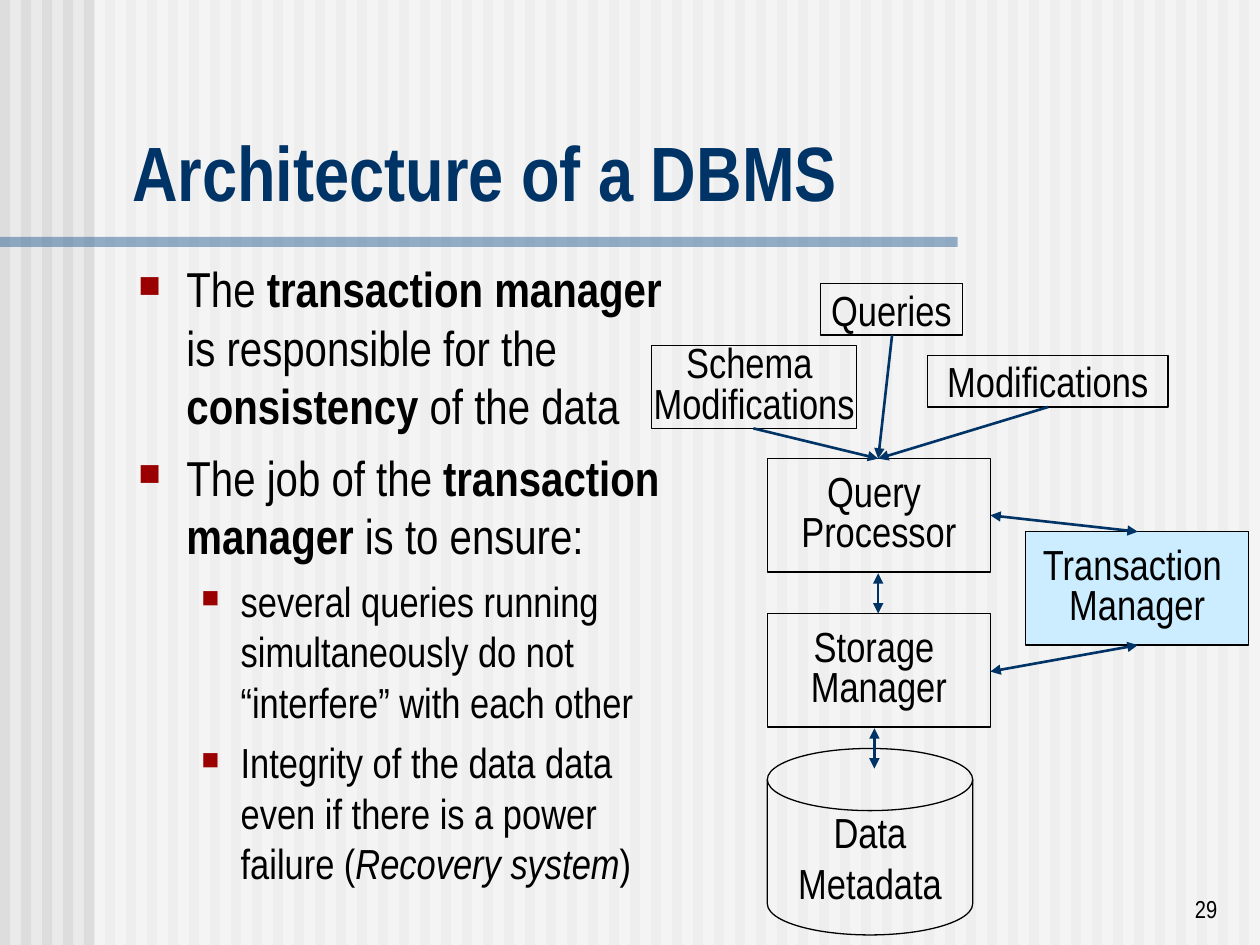
"""Builds the slide on the architecture of a DBMS."""
from lxml.etree import SubElement
from pptx import Presentation
from pptx.dml.color import RGBColor
from pptx.enum.shapes import MSO_CONNECTOR, MSO_SHAPE
from pptx.enum.text import MSO_ANCHOR, MSO_AUTO_SIZE, PP_ALIGN
from pptx.oxml.ns import qn
from pptx.util import Inches, Pt


def color(value):
    return RGBColor.from_string(value)


class SlideBuilder:
    font_name = "Arial Narrow"
    ink = "000000"
    navy = "003366"
    bullet_red = "9A0000"

    def __init__(self, slide):
        self.slide = slide
        self.shapes = slide.shapes

    def style(self, paragraph, size, ink=ink, bold=None):
        font = paragraph.font
        font.name, font.size, font.bold = self.font_name, Pt(size), bold
        font.color.rgb = color(ink)

    def place(self, shape, left, top, width, height):
        shape.left, shape.top = Inches(left), Inches(top)
        shape.width, shape.height = Inches(width), Inches(height)

    def background(self, fill):
        self.slide.background.fill.solid()
        self.slide.background.fill.fore_color.rgb = color(fill)

    def band(self, left, top, width, height, fill, opacity=None):
        band = self.shapes.add_shape(MSO_SHAPE.RECTANGLE, 0, 0, 0, 0)
        self.place(band, left, top, width, height)
        band.shadow.inherit = False
        band.line.fill.background()
        band.fill.solid()
        band.fill.fore_color.rgb = color(fill)
        if opacity is not None:
            tint = band.fill._xPr.find(".//" + qn("a:srgbClr"))
            SubElement(tint, qn("a:alpha"), val=str(opacity * 1000))

    def title(self, text, *frame):
        title = self.shapes.title
        self.place(title, *frame)
        title.text_frame.text = text
        title.text_frame.vertical_anchor = MSO_ANCHOR.BOTTOM
        title.text_frame.auto_size = MSO_AUTO_SIZE.NONE
        paragraph = title.text_frame.paragraphs[0]
        paragraph.alignment = PP_ALIGN.LEFT
        self.style(paragraph, 44, self.navy, True)

    def bullet(self, paragraph, margin, indent, percent):
        properties = paragraph._p.get_or_add_pPr()
        properties.set("marL", str(Inches(margin)))
        properties.set("indent", str(Inches(indent)))
        tint = SubElement(properties, qn("a:buClr"))
        SubElement(tint, qn("a:srgbClr"), val=self.bullet_red)
        SubElement(properties, qn("a:buSzPct"), val=str(percent * 1000))
        SubElement(properties, qn("a:buFont"), typeface=self.font_name)
        SubElement(properties, qn("a:buChar"), char="■")

    def bullets(self, items, *frame):
        body = self.slide.placeholders[1]
        self.place(body, *frame)
        text_frame = body.text_frame
        text_frame.auto_size = MSO_AUTO_SIZE.NONE
        levels = [(28, 7, 0.38, -0.38, 75), (24, 6, 0.81, -0.31, 70)]
        for index, (level, spans) in enumerate(items):
            paragraph = text_frame.add_paragraph() if index else text_frame.paragraphs[0]
            size, space, *marker = levels[level]
            paragraph.level = level
            paragraph.space_before = Pt(space if index else 0)
            self.bullet(paragraph, *marker)
            self.style(paragraph, size)
            for text, emphasis in spans:
                span = paragraph.add_run()
                span.text = text
                if emphasis == "bold":
                    span.font.bold = True
                elif emphasis == "italic":
                    span.font.italic = True

    def box(self, lines, *frame, kind=MSO_SHAPE.RECTANGLE, spacing=None, fill=None):
        box = self.shapes.add_shape(kind, 0, 0, 0, 0)
        self.place(box, *frame)
        box.shadow.inherit = False
        box.line.color.rgb = color(self.ink)
        box.line.width = Pt(0.75)
        if fill:
            box.fill.solid()
            box.fill.fore_color.rgb = color(fill)
        else:
            box.fill.background()
        text_frame = box.text_frame
        text_frame.word_wrap = False
        text_frame.vertical_anchor = MSO_ANCHOR.MIDDLE
        for index, text in enumerate(lines):
            paragraph = text_frame.add_paragraph() if index else text_frame.paragraphs[0]
            paragraph.text = text
            paragraph.alignment = PP_ALIGN.CENTER
            paragraph.line_spacing = spacing
            self.style(paragraph, 24)

    def arrow(self, start, end, both=False):
        points = [Inches(length) for length in (*start, *end)]
        arrow = self.shapes.add_connector(MSO_CONNECTOR.STRAIGHT, *points)
        arrow.line.color.rgb = color(self.navy)
        arrow.line.width = Pt(1.5)
        line = arrow.line._get_or_add_ln()
        for tag in ("a:headEnd", "a:tailEnd") if both else ("a:tailEnd",):
            SubElement(line, qn(tag), type="triangle")
        SubElement(arrow._element.spPr, qn("a:effectLst"))

    def page_number(self, text, *frame):
        box = self.shapes.add_textbox(0, 0, 0, 0)
        self.place(box, *frame)
        box.text_frame.word_wrap = True
        box.text_frame.vertical_anchor = MSO_ANCHOR.BOTTOM
        paragraph = box.text_frame.paragraphs[0]
        paragraph.text = text
        paragraph.alignment = PP_ALIGN.RIGHT
        self.style(paragraph, 14)


def main():
    deck = Presentation()
    deck.slide_width, deck.slide_height = Inches(10), Inches(7.5)
    page = SlideBuilder(deck.slides.add_slide(deck.slide_layouts[1]))

    page.background("EAEAEA")
    for index in range(60):
        page.band(index / 6, 0, 0.08, 7.5, "DDDDDD")
    page.band(0.75, 0, 9.25, 7.5, "FFFFFF", 50)
    page.band(0, 1.88, 7.6, 0.08, "336699", 50)
    tree = page.shapes._spTree
    for placeholder in list(page.slide.placeholders):
        tree.append(placeholder._element)

    page.title("Architecture of a DBMS", 0.95, 0.94, 8.93, 0.83)
    page.bullets([
        (0, [("The ", None), ("transaction manager", "bold"),
             (" is responsible for the ", None), ("consistency", "bold"),
             (" of the data", None)]),
        (0, [("The job of the ", None), ("transaction manager", "bold"),
             (" is to ensure:", None)]),
        (1, [("several queries running simultaneously do not “interfere” with each other", None)]),
        (1, [("Integrity of the data data even if there is a power failure (", None),
             ("Recovery system", "italic"), (")", None)]),
    ], 1, 2, 4.42, 5.5)

    page.box(["Query ", "Processor"], 6.09, 3.64, 1.77, 0.9, spacing=0.8)
    page.box(["Schema ", "Modifications"], 5.17, 2.74, 1.63, 0.66, spacing=0.8)
    page.box(["Transaction ", "Manager"], 8.14, 4.22, 1.77, 0.9, spacing=0.8, fill="CCECFF")
    page.box(["Storage ", "Manager"], 6.09, 4.87, 1.77, 0.9, spacing=0.8)
    page.box(["Data", "Metadata"], 6.09, 5.94, 1.63, 1.48,
             kind=MSO_SHAPE.FLOWCHART_MAGNETIC_DISK)
    page.box(["Queries"], 6.51, 2.25, 1.13, 0.41)
    page.box(["Modifications"], 7.36, 2.82, 1.91, 0.41)

    processor_top = (6.97, 3.64)
    for request in [(7.08, 2.66), (5.98, 3.4), (8.32, 3.23)]:
        page.arrow(request, processor_top)
    for start, end in [((9.03, 5.12), (7.86, 5.33)), ((9.03, 4.22), (7.86, 4.09)),
                       ((6.97, 4.55), (6.97, 4.87)), ((6.94, 5.78), (6.94, 6.1))]:
        page.arrow(start, end, both=True)
    page.page_number("29", 7.68, 6.88, 2.08, 0.5)
    deck.save("out.pptx")


if __name__ == "__main__":
    main()
